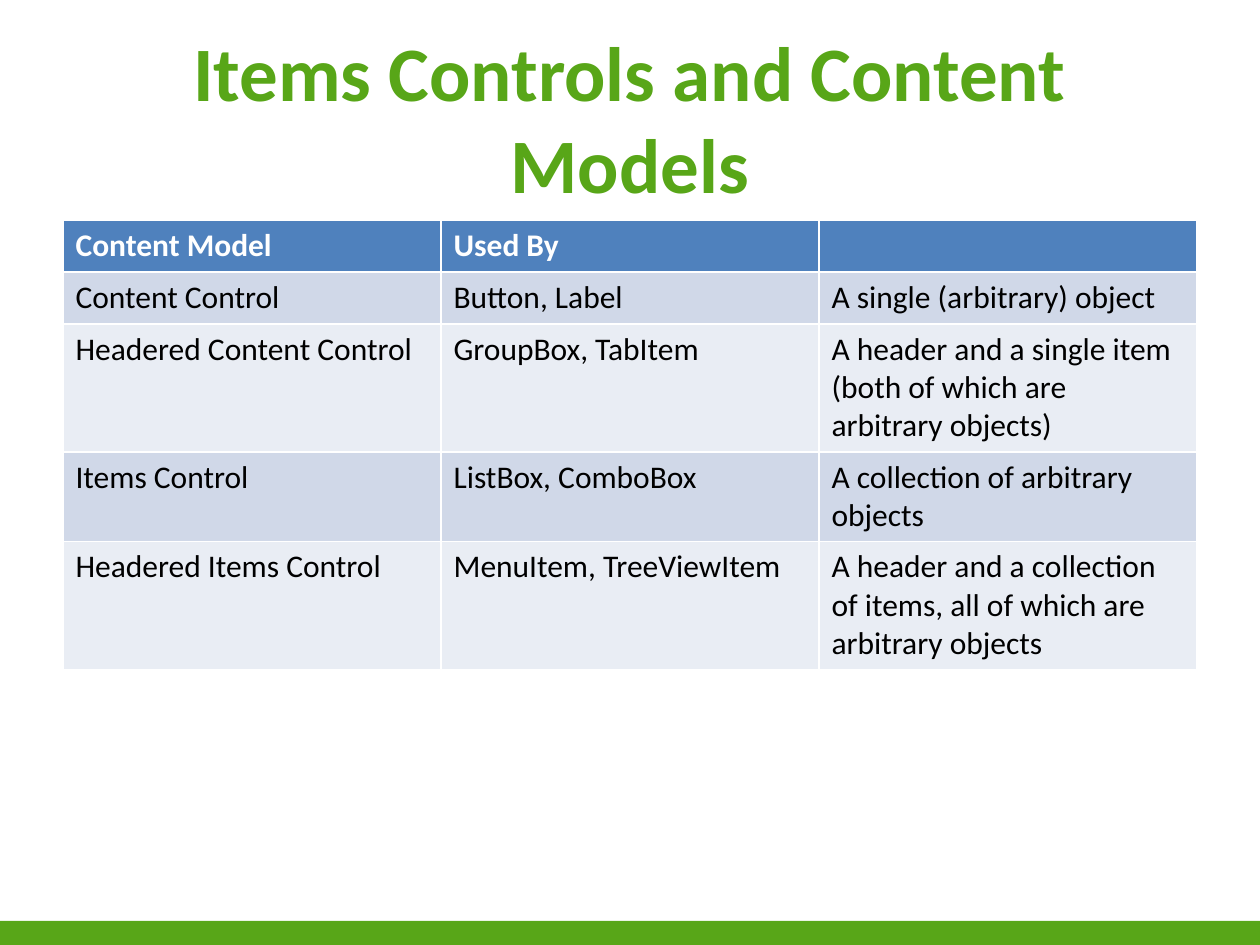
from dataclasses import dataclass

from pptx import Presentation
from pptx import util as u
from pptx.dml.color import RGBColor
from pptx.enum import shapes, text


@dataclass(frozen=True)
class Theme:
    """Colours, font and type sizes of the deck."""
    green: str = "58A618"
    header: str = "4F81BD"
    bands: tuple = ("D0D8E8", "E9EDF4")
    white: str = "FFFFFF"
    black: str = "000000"
    font: str = "Calibri"
    title_size: int = 44
    table_size: int = 18


class SlideBuilder:
    """Draws styled elements on the current slide."""

    def __init__(self, page, theme):
        self.page = page
        self.theme = theme

    def fill(self, target, colour):
        """Give a shape or cell a solid fill."""
        target.fill.solid()
        target.fill.fore_color.rgb = RGBColor.from_string(colour)

    def style(self, paragraph, size, colour, bold):
        """Set the font of one paragraph."""
        font = paragraph.font
        font.name = self.theme.font
        font.size = u.Pt(size)
        font.bold = bold
        font.color.rgb = RGBColor.from_string(colour)

    def bar(self, left, top, width, height):
        """Add a plain green bar."""
        box = self.page.shapes.add_shape(
            shapes.MSO_SHAPE.RECTANGLE, *map(u.Inches, (left, top, width, height)))
        box.shadow.inherit = False
        box.line.fill.background()
        self.fill(box, self.theme.green)

    def title(self, words, left, top, width, height):
        """Fill and place the title placeholder."""
        box = self.page.shapes.title
        box.left, box.top, box.width, box.height = map(
            u.Inches, (left, top, width, height))
        frame = box.text_frame
        frame.text = words
        frame.word_wrap = True
        frame.auto_size = text.MSO_AUTO_SIZE.NONE
        frame.vertical_anchor = text.MSO_ANCHOR.MIDDLE
        para = frame.paragraphs[0]
        para.alignment = text.PP_ALIGN.CENTER
        self.style(para, self.theme.title_size, self.theme.green, True)

    def table(self, rows, heights, left, top, width):
        """Add a table with a header row and banded body rows."""
        frame = self.page.shapes.add_table(
            len(rows), len(rows[0]),
            *map(u.Inches, (left, top, width, sum(heights))))
        table = frame.table
        for index, (row, height) in enumerate(zip(rows, heights)):
            table.rows[index].height = u.Inches(height)
            is_header = index == 0
            shade = self.theme.header if is_header else self.theme.bands[(index - 1) % 2]
            ink = self.theme.white if is_header else self.theme.black
            for column, words in enumerate(row):
                cell = table.cell(index, column)
                cell.text = words
                self.fill(cell, shade)
                self.style(cell.text_frame.paragraphs[0],
                           self.theme.table_size, ink, is_header)


CONTENT_MODELS = [
    ("Content Model", "Used By", ""),
    ("Content Control", "Button, Label", "A single (arbitrary) object"),
    ("Headered Content Control", "GroupBox, TabItem",
     "A header and a single item (both of which are arbitrary objects)"),
    ("Items Control", "ListBox, ComboBox", "A collection of arbitrary objects"),
    ("Headered Items Control", "MenuItem, TreeViewItem",
     "A header and a collection of items, all of which are arbitrary objects"),
]
ROW_HEIGHTS = (0.41, 0.41, 1.01, 0.71, 1.01)


def main():
    """Build the deck and save it."""
    deck = Presentation()
    deck.slide_width, deck.slide_height = u.Inches(10), u.Inches(7.5)
    title_only = deck.slide_layouts[5]
    builder = SlideBuilder(deck.slides.add_slide(title_only), Theme())
    builder.bar(0, 7.31, 10, 0.2)
    builder.title("Items Controls and Content Models", 0.5, 0.3, 9, 1.25)
    builder.table(CONTENT_MODELS, ROW_HEIGHTS, 0.5, 1.75, 9)
    deck.save("out.pptx")


if __name__ == "__main__":
    main()
